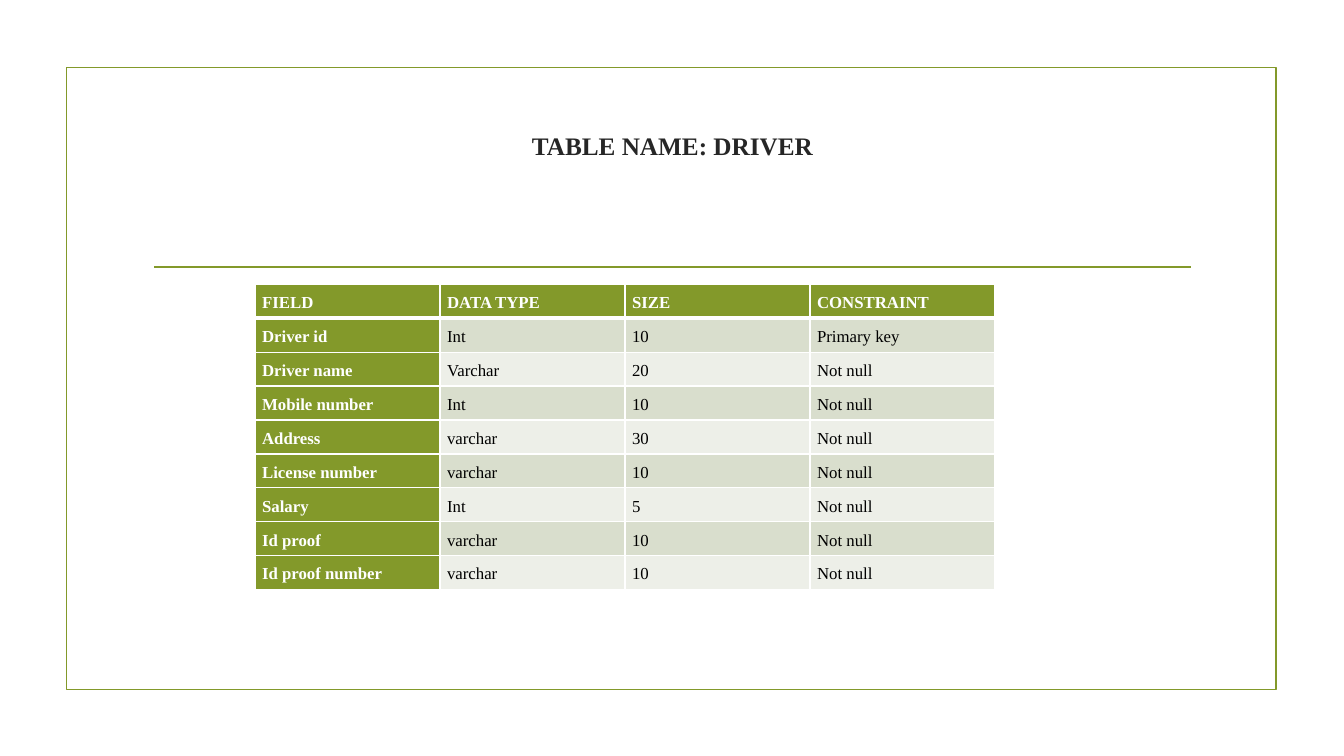
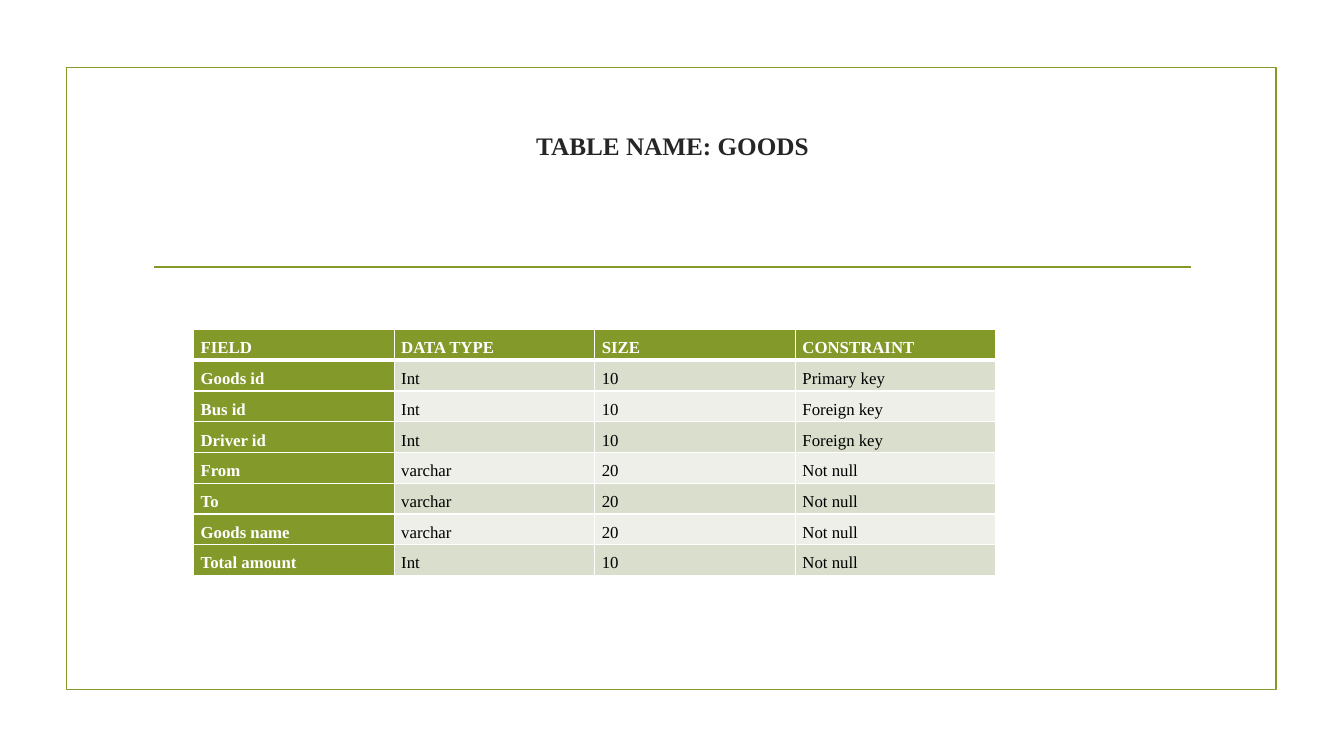
from pptx import Presentation
from pptx.dml.color import RGBColor
from pptx.enum.shapes import MSO_CONNECTOR, MSO_SHAPE
from pptx.enum.text import MSO_ANCHOR, PP_ALIGN
from pptx.oxml.ns import qn
from pptx.util import Inches, Pt
from lxml import etree

RECT = MSO_SHAPE.RECTANGLE
STRAIGHT = MSO_CONNECTOR.STRAIGHT
MIDDLE = MSO_ANCHOR.MIDDLE
CENTER = PP_ALIGN.CENTER
FONT = "Times New Roman"
COLORS = {
    "green": "83992A",
    "title": "262626",
    "odd": "D9DECD",
    "even": "EDEFE8",
    "white": "FFFFFF",
    "black": "000000",
}
HEADER = ("FIELD", "DATA TYPE", "SIZE", "CONSTRAINT")

# Title, table box (left, top, width, height), rows
SLIDES = [
    ("TABLE NAME: DRIVER", (2.53, 2.82, 7.34, 3.03), [
        ("Driver id", "Int", "10", "Primary key"),
        ("Driver name", "Varchar", "20", "Not null"),
        ("Mobile number", "Int", "10", "Not null"),
        ("Address", "varchar", "30", "Not null"),
        ("License number", "varchar", "10", "Not null"),
        ("Salary", "Int", "5", "Not null"),
        ("Id proof", "varchar", "10", "Not null"),
        ("Id proof number", "varchar", "10", "Not null"),
    ]),
    ("TABLE NAME: GOODS", (1.92, 3.27, 7.96, 2.44), [
        ("Goods id", "Int", "10", "Primary key"),
        ("Bus id", "Int", "10", "Foreign key"),
        ("Driver id", "Int", "10", "Foreign key"),
        ("From", "varchar", "20", "Not null"),
        ("To", "varchar", "20", "Not null"),
        ("Goods name", "varchar", "20", "Not null"),
        ("Total amount", "Int", "10", "Not null"),
    ]),
]


def style_text(p, size, color, bold):
    for r in p.runs:
        r.font.name = FONT
        r.font.size = Pt(size)
        r.font.bold = bold
        r.font.color.rgb = RGBColor.from_string(COLORS[color])


def add_borders(cell, row):
    """White cell borders, heavier between the header and the first row."""
    tcPr = cell._tc.get_or_add_tcPr()
    heavy = {0: "lnB", 1: "lnT"}.get(row)
    for side in ("lnL", "lnR", "lnT", "lnB"):
        width = Pt(3 if side == heavy else 1)
        ln = etree.SubElement(tcPr, qn("a:" + side), w=str(width))
        fill = etree.SubElement(ln, qn("a:solidFill"))
        etree.SubElement(fill, qn("a:srgbClr"), val=COLORS["white"])


prs = Presentation()
prs.slide_width, prs.slide_height = Inches(13.33), Inches(7.5)
title_only = prs.slide_layouts[5]

for title, box, fields in SLIDES:
    s = prs.slides.add_slide(title_only)

    # Frame and rule
    frame = s.shapes.add_shape(RECT, Inches(0.66), Inches(0.67), Inches(12), Inches(6.17))
    frame.shadow.inherit = False
    frame.fill.background()
    rule = s.shapes.add_connector(STRAIGHT, Inches(1.53), Inches(2.65), Inches(11.81), Inches(2.65))
    etree.SubElement(rule._element.spPr, qn("a:effectLst"))
    for sp in (frame, rule):
        sp.line.color.rgb = RGBColor.from_string(COLORS["green"])
        sp.line.width = Pt(1.25)

    # Title, raised above the middle of its box
    sp = s.shapes.title
    sp.left, sp.top, sp.width, sp.height = map(Inches, (1.42, 1.07, 10.5, 1.43))
    tf = sp.text_frame
    tf.text = title
    tf.vertical_anchor = MIDDLE
    tf.margin_bottom = Inches(0.74)
    tf.paragraphs[0].alignment = CENTER
    style_text(tf.paragraphs[0], 18, "title", True)

    # Field table
    rows = [HEADER] + fields
    table = s.shapes.add_table(len(rows), len(HEADER), *map(Inches, box)).table
    table.first_col = True
    for i, row in enumerate(rows):
        for j, text in enumerate(row):
            heading = i == 0 or j == 0
            cell = table.cell(i, j)
            cell.margin_left = cell.margin_right = Inches(0.07)
            cell.margin_top = cell.margin_bottom = 0
            add_borders(cell, i)
            fill = "green" if heading else "odd" if i % 2 else "even"
            cell.fill.solid()
            cell.fill.fore_color.rgb = RGBColor.from_string(COLORS[fill])
            cell.text_frame.text = text
            p = cell.text_frame.paragraphs[0]
            p.line_spacing = 1.5
            style_text(p, 12, "white" if heading else "black", heading)

prs.save("out.pptx")
